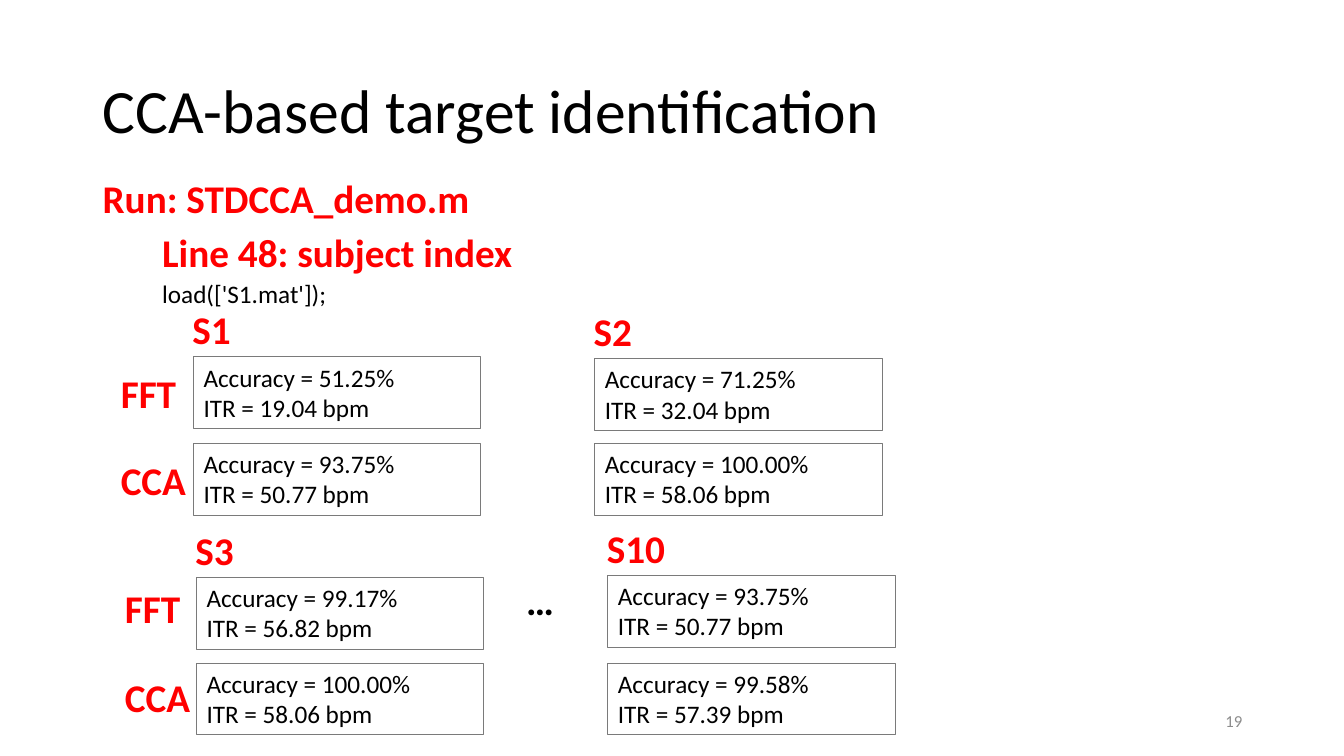
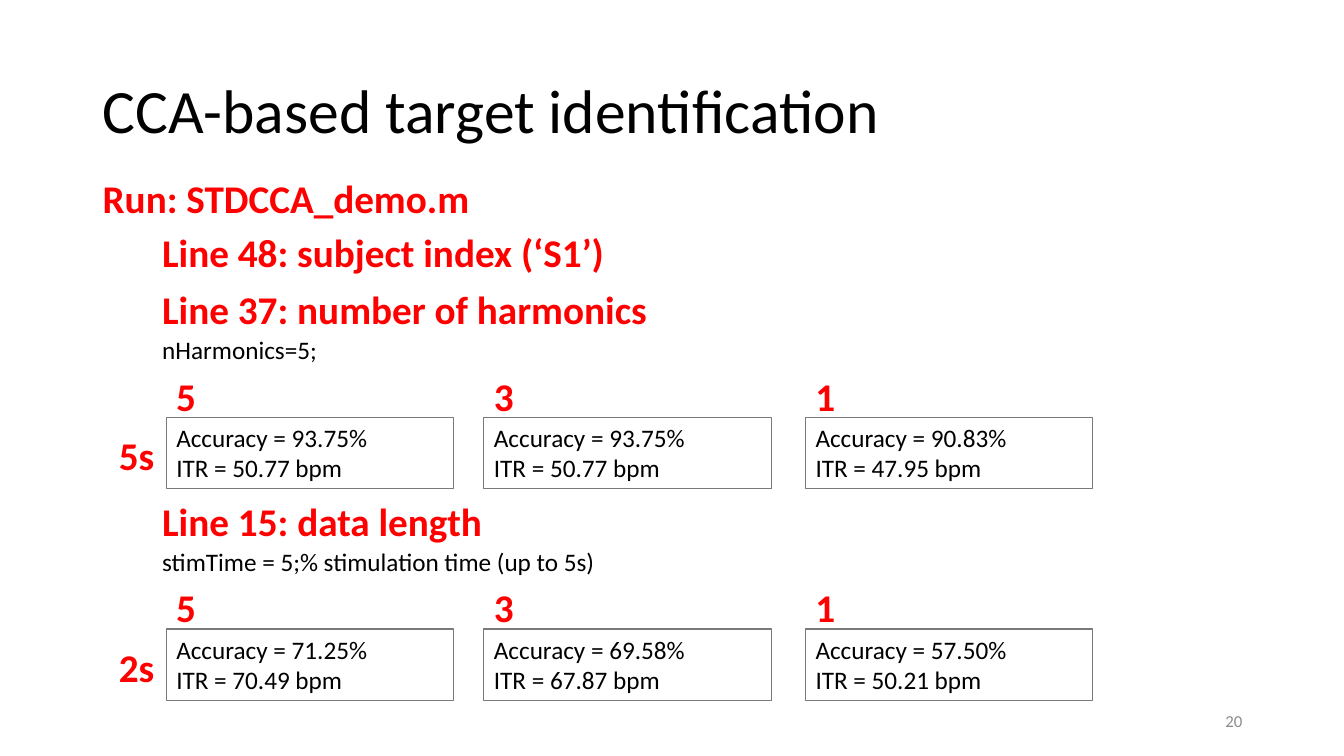
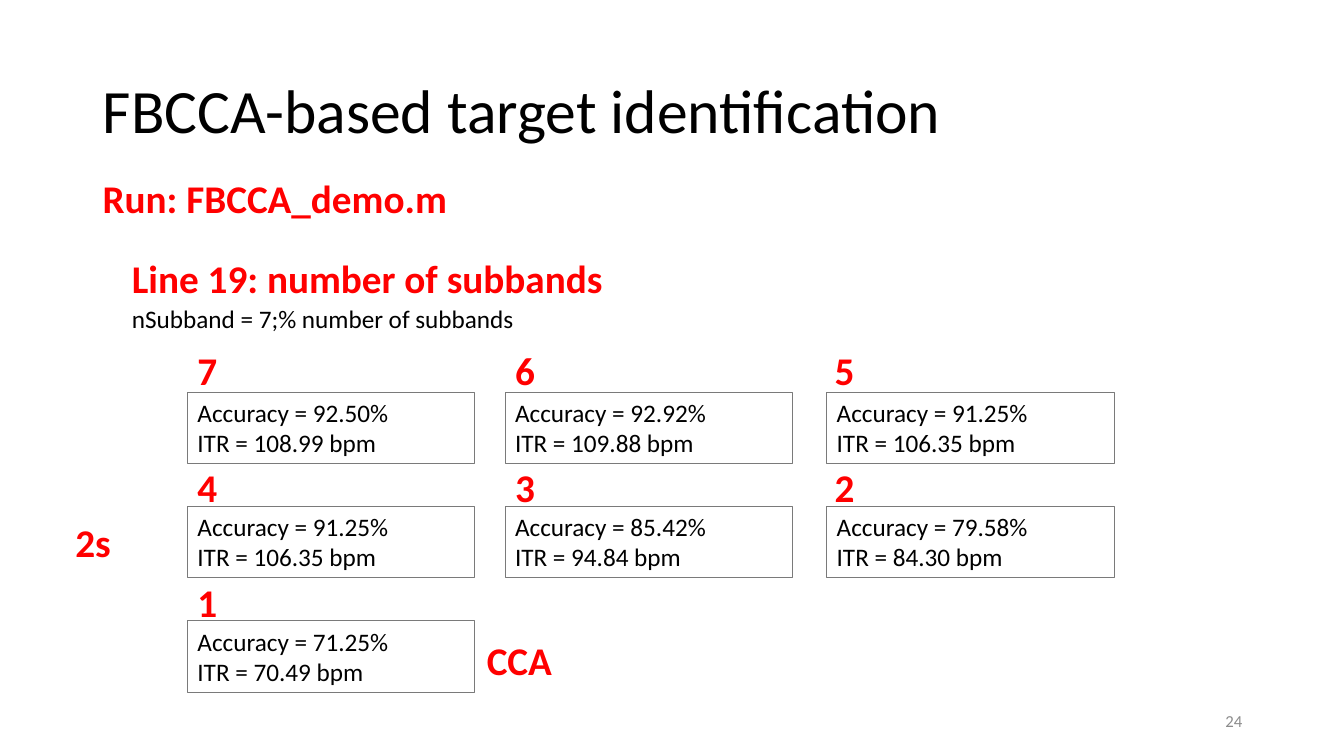
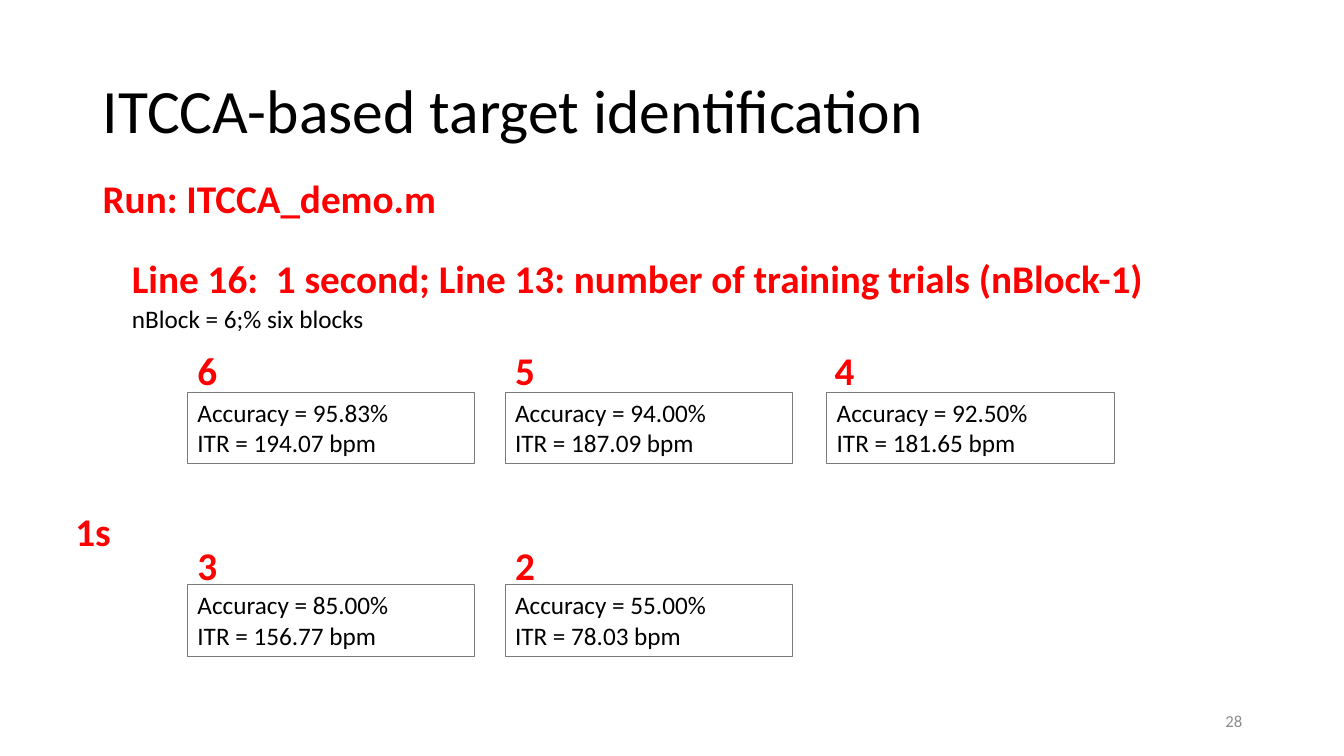
from dataclasses import dataclass

from pptx import Presentation
from pptx.dml.color import RGBColor
from pptx.enum.shapes import MSO_SHAPE as Shape
from pptx.enum.text import MSO_ANCHOR as Anchor, MSO_AUTO_SIZE as AutoSize, PP_ALIGN as Align
from pptx.util import Pt

EMU_PER_PX = 9144


@dataclass(frozen=True)
class Theme:
    font: str = "Calibri"
    ink: str = "000000"
    accent: str = "FF0000"
    line: str = "7A7A7A"
    muted: str = "8C8C8C"
    title: int = 44
    head: int = 28
    body: int = 18
    footer: int = 12


T = Theme()
CARD_W, CARD_H = 285, 71
HEAD_H, CODE_H = 57, 40
COLS = (0, 315, 634)
LABEL_COLS = (0, 315, 632)


def px(*values):
    return [round(v * EMU_PER_PX) for v in values]


def write(tf, lines, size=T.body, color=T.ink, bold=False, align=Align.LEFT, spacing=None):
    for i, line in enumerate(lines):
        p = tf.add_paragraph() if i else tf.paragraphs[0]
        p.alignment = align
        p.line_spacing = spacing
        r = p.add_run()
        r.text = line
        r.font.name = T.font
        r.font.size = Pt(size)
        r.font.bold = bold
        r.font.color.rgb = RGBColor.from_string(color)


def text(s, x, y, w, h, line, wrap=False, anchor=Anchor.TOP, **fmt):
    tf = s.shapes.add_textbox(*px(x, y, w, h)).text_frame
    tf.word_wrap = wrap
    tf.auto_size = AutoSize.NONE if wrap else AutoSize.SHAPE_TO_FIT_TEXT
    tf.vertical_anchor = anchor
    write(tf, [line], **fmt)


def heading(s, x, y, w, line, color=T.accent):
    text(s, x, y, w, HEAD_H, line, size=T.head, color=color, bold=True)


def step(s, x, y, w, line, code, code_w):
    heading(s, x, y, w, line)
    text(s, x, y + 49, code_w, CODE_H, code)


def card(s, x, y, accuracy, itr):
    sp = s.shapes.add_shape(Shape.RECTANGLE, *px(x, y, CARD_W, CARD_H))
    sp.shadow.inherit = False
    sp.fill.background()
    sp.line.color.rgb = RGBColor.from_string(T.line)
    sp.line.width = Pt(0.75)
    tf = sp.text_frame
    tf.word_wrap = True
    tf.auto_size = AutoSize.SHAPE_TO_FIT_TEXT
    tf.vertical_anchor = Anchor.TOP
    write(tf, [f"Accuracy = {accuracy}%", f"ITR = {itr} bpm"])


def card_row(s, x, y, results, label_gap=50, label_cols=LABEL_COLS):
    for dx, label_dx, (label, accuracy, itr) in zip(COLS, label_cols, results):
        card(s, x + dx, y, accuracy, itr)
        heading(s, x + label_dx, y - label_gap, 40, label)


def subject(s, x, fft_y, cca_y, label, label_w, fft, cca):
    heading(s, x - 11, fft_y - 56, label_w, label)
    card(s, x, fft_y, *fft)
    card(s, x, cca_y, *cca)


def new_slide(prs, method, number, script, script_w):
    s = prs.slides.add_slide(prs.slide_layouts[5])
    title = s.shapes.title
    title.left, title.top, title.width, title.height = px(92, 40, 1150, 145)
    tf = title.text_frame
    tf.word_wrap = True
    tf.auto_size = AutoSize.NONE
    tf.vertical_anchor = Anchor.MIDDLE
    write(tf, [f"{method}-based target identification"], size=T.title, spacing=0.9)
    heading(s, 92, 168, script_w, f"Run: {script}")
    text(s, 942, 695, 300, 40, str(number), wrap=True, anchor=Anchor.MIDDLE,
         size=T.footer, color=T.muted, align=Align.RIGHT)
    return s


def subjects_slide(prs):
    s = new_slide(prs, "CCA", 19, "STDCCA_demo.m", 388)
    step(s, 151, 222, 372, "Line 48: subject index", "load(['S1.mat']);", 185)
    for x, fft_y, cca_y in ((110, 361, 448), (114, 575, 663)):
        heading(s, x, fft_y, 76, "FFT")
        heading(s, x, cca_y, 86, "CCA")
    subject(s, 192, 354, 440, "S1", 59, ("51.25", "19.04"), ("93.75", "50.77"))
    subject(s, 590, 356, 440, "S2", 59, ("71.25", "32.04"), ("100.00", "58.06"))
    subject(s, 195, 573, 658, "S3", 59, ("99.17", "56.82"), ("100.00", "58.06"))
    subject(s, 603, 571, 658, "S10", 79, ("93.75", "50.77"), ("99.58", "57.39"))
    heading(s, 512, 567, 48, "…", color=T.ink)


def harmonics_slide(prs):
    s = new_slide(prs, "CCA", 20, "STDCCA_demo.m", 388)
    heading(s, 151, 222, 463, "Line 48: subject index (‘S1’)")
    step(s, 151, 278, 506, "Line 37: number of harmonics", "nHarmonics=5;", 176)
    step(s, 151, 488, 341, "Line 15: data length",
         "stimTime = 5;% stimulation time (up to 5s)", 455)
    rows = (
        (414, "5s", (("5", "93.75", "50.77"), ("3", "93.75", "50.77"), ("1", "90.83", "47.95"))),
        (624, "2s", (("5", "71.25", "70.49"), ("3", "69.58", "67.87"), ("1", "57.50", "50.21"))),
    )
    for y, length, results in rows:
        heading(s, 108, y + 9, 56, length)
        card_row(s, 165, y, results, label_cols=COLS)


def subbands_slide(prs):
    s = new_slide(prs, "FBCCA", 24, "FBCCA_demo.m", 366)
    step(s, 121, 247, 492, "Line 19: number of subbands",
         "nSubband = 7;% number of subbands", 404)
    card_row(s, 186, 389, (("7", "92.50", "108.99"), ("6", "92.92", "109.88"),
                           ("5", "91.25", "106.35")))
    card_row(s, 186, 502, (("4", "91.25", "106.35"), ("3", "85.42", "94.84"),
                           ("2", "79.58", "84.30")), label_gap=47)
    card_row(s, 186, 616, (("1", "71.25", "70.49"),), label_gap=47)
    heading(s, 473, 626, 86, "CCA")
    heading(s, 65, 509, 56, "2s")


def training_slide(prs):
    s = new_slide(prs, "ITCCA", 28, "ITCCA_demo.m", 355)
    step(s, 121, 247, 1028, "Line 16:  1 second; Line 13: number of training trials (nBlock-1)",
         "nBlock = 6;% six blocks", 258)
    card_row(s, 186, 389, (("6", "95.83", "194.07"), ("5", "94.00", "187.09"),
                           ("4", "92.50", "181.65")))
    card_row(s, 186, 580, (("3", "85.00", "156.77"), ("2", "55.00", "78.03")), label_gap=48)
    heading(s, 65, 498, 56, "1s")


def main():
    prs = Presentation()
    prs.slide_width, prs.slide_height = px(1333, 750)
    for build in (subjects_slide, harmonics_slide, subbands_slide, training_slide):
        build(prs)
    prs.save("out.pptx")


if __name__ == "__main__":
    main()
